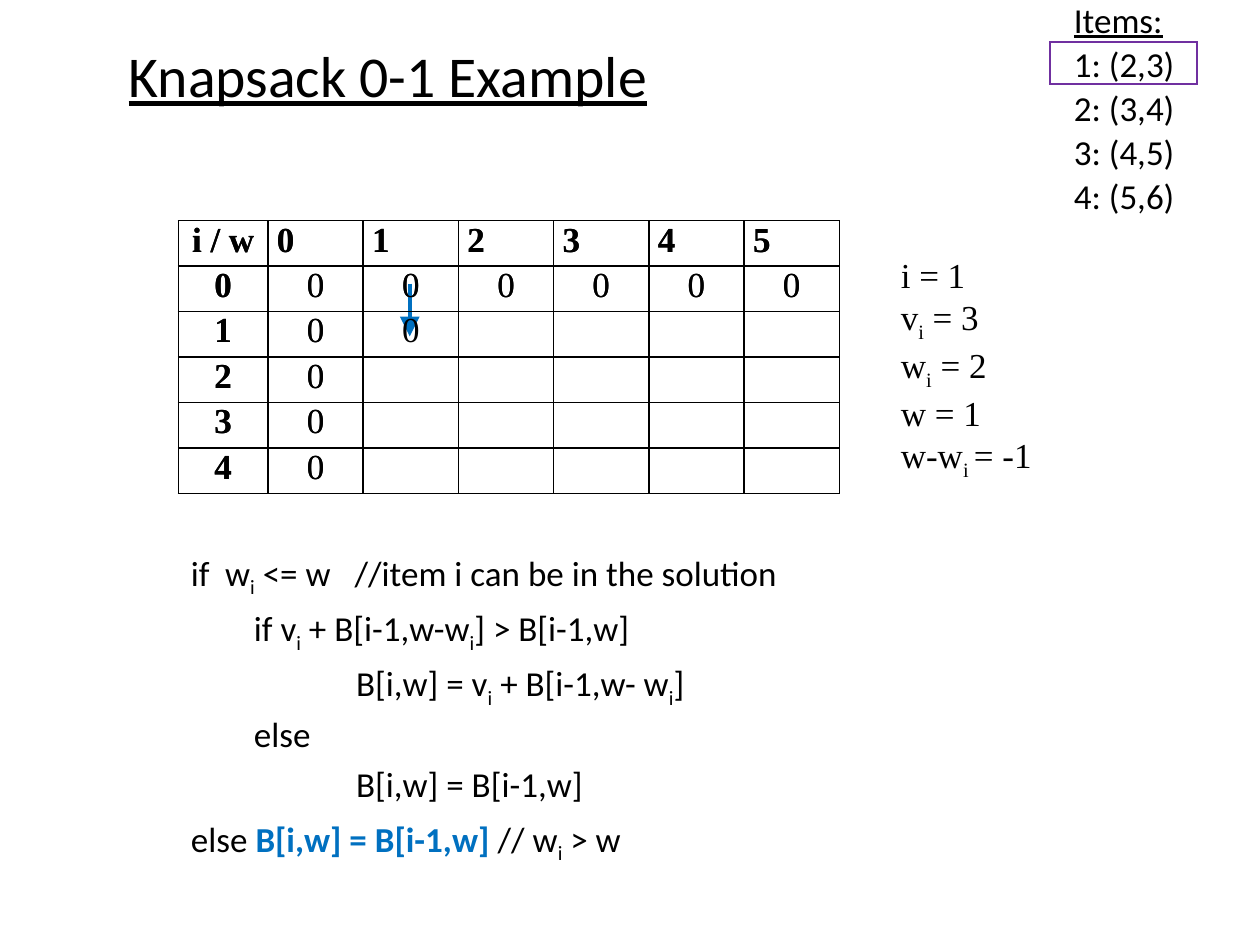
from lxml import etree
from pptx import Presentation
from pptx.dml.color import RGBColor
from pptx.enum.shapes import MSO_CONNECTOR as Connector, MSO_SHAPE as Shape
from pptx.enum.text import MSO_ANCHOR as Anchor, MSO_AUTO_SIZE as AutoSize, PP_ALIGN as Align
from pptx.oxml.ns import qn
from pptx.util import Cm, Pt


def colour(value):
    return RGBColor.from_string(value)


def write(frame, lines, font, layout):
    frame.word_wrap = True
    for index, line in enumerate(lines):
        paragraph = frame.add_paragraph() if index else frame.paragraphs[0]
        for name, value in layout.items():
            if index or name != "space_before":
                setattr(paragraph, name, value)
        for part, section in enumerate(line.split("|")):
            for piece, text in enumerate(section.split("~")):
                if not text:
                    continue
                run = paragraph.add_run()
                run.text = text
                for name, value in font.items():
                    setattr(run.font, name, value)
                run.font.color.rgb = colour("0070C0" if part % 2 else "000000")
                if part % 2:
                    run.font.bold = True
                if piece % 2:
                    run.font._element.set("baseline", "-25000")


presentation = Presentation()
presentation.slide_width = Cm(25.4)
presentation.slide_height = Cm(19.05)
slide = presentation.slides.add_slide(presentation.slide_layouts[5])

calibri = {"name": "Calibri", "size": Pt(20)}
times = {"name": "Times New Roman", "size": Pt(20)}

title = slide.shapes.title
for name, value in {"left": 2.34, "top": 0, "width": 20.83, "height": 3.18}.items():
    setattr(title, name, Cm(value))
title.text_frame.auto_size = AutoSize.NONE
title.text_frame.vertical_anchor = Anchor.MIDDLE
write(title.text_frame, ["Knapsack 0-1 Example"],
      {"name": "Calibri", "size": Pt(33), "underline": True},
      {"alignment": Align.LEFT, "line_spacing": 0.9})

code = [
    (0, "if\tw~i~ <= w\t//item i can be in the solution"),
    (1.27, "if v~i~ + B[i-1,w-w~i~] > B[i-1,w]"),
    (3.33, "B[i,w] = v~i~ + B[i-1,w- w~i~]"),
    (1.27, "else"),
    (3.33, "B[i,w] = B[i-1,w]"),
    (0, "else |B[i,w] = B[i-1,w] |// w~i~ > w"),
]
code_box = slide.shapes.add_textbox(Cm(3.6), Cm(11), Cm(17.98), Cm(6.99))
write(code_box.text_frame, [line for _, line in code], calibri,
      {"line_spacing": 0.9, "space_before": Pt(7)})
for paragraph, (indent, _) in zip(code_box.text_frame.paragraphs, code):
    paragraph._p.get_or_add_pPr().set("marL", str(Cm(indent)))
tab_list = etree.SubElement(code_box.text_frame.paragraphs[0]._p.get_or_add_pPr(), qn("a:tabLst"))
for position in (0.69, 3.3):
    etree.SubElement(tab_list, qn("a:tab"), pos=str(Cm(position)), algn="l")

items_box = slide.shapes.add_textbox(Cm(21.17), 0, Cm(2.96), Cm(4.66))
items_box.text_frame.margin_left = Cm(0.48)
items = [f"{item}: ({item + 1},{item + 2})" for item in range(1, 5)]
write(items_box.text_frame, ["Items:"] + items, calibri,
      {"line_spacing": 0.8, "space_before": Pt(6)})
items_box.text_frame.paragraphs[0].runs[0].font.underline = True

table_area = (Cm(3.6), Cm(4.45), Cm(13.32), Cm(5.5))
before = slide.shapes.add_table(6, 7, *table_area).table

values_box = slide.shapes.add_textbox(Cm(17.91), Cm(4.99), Cm(3.25), Cm(4.52))
write(values_box.text_frame,
      ["i = 1", "v~i~ = 3", "w~i~ = 2", "w = 1", "w-w~i ~= -1"], times, {})

arrow = slide.shapes.add_connector(Connector.STRAIGHT, Cm(8.26), Cm(5.72), Cm(8.26), Cm(6.78))
arrow.line.color.rgb = colour("0070C0")
arrow.line.width = Pt(2.25)
etree.SubElement(arrow.get_or_add_ln(), qn("a:tailEnd"), type="triangle", w="lg", len="lg")
etree.SubElement(arrow._element.spPr, qn("a:effectLst"))

after = slide.shapes.add_table(6, 7, *table_area).table

margins = {"margin_left": 0.18, "margin_right": 0.18, "margin_top": 0, "margin_bottom": 0}
for table, filled in ((before, []), (after, ["0"])):
    rows = [["i / w", "0", "1", "2", "3", "4", "5"], ["0"] * 7, ["1", "0"] + filled]
    rows += [[item, "0"] for item in "234"]
    table.first_row = table.horz_banding = False
    for index, column in enumerate(table.columns):
        column.width = Cm(1.92 if index else 1.8)
    for row_index, row in enumerate(table.rows):
        row.height = Cm(5.5) // 6
        for column_index, cell in enumerate(row.cells):
            for name, value in margins.items():
                setattr(cell, name, Cm(value))
            properties = cell._tc.get_or_add_tcPr()
            for side in ("lnL", "lnR", "lnT", "lnB"):
                border = etree.SubElement(properties, qn(f"a:{side}"), w=str(Pt(1)))
                fill = etree.SubElement(border, qn("a:solidFill"))
                etree.SubElement(fill, qn("a:srgbClr"), val="000000")
            cell.fill.background()
            if column_index < len(rows[row_index]):
                heading = row_index == 0 or column_index == 0
                left = row_index == 0 and column_index > 0
                write(cell.text_frame, [rows[row_index][column_index]], {**times, "bold": heading},
                      {"alignment": Align.LEFT if left else Align.CENTER})

highlight = slide.shapes.add_shape(Shape.RECTANGLE, Cm(21.17), Cm(0.85), Cm(2.96), Cm(0.85))
highlight.shadow.inherit = False
highlight.fill.background()
highlight.line.color.rgb = colour("7030A0")
highlight.line.width = Pt(1)
etree.SubElement(highlight.get_or_add_ln(), qn("a:miter"), lim="800000")

presentation.save("out.pptx")
